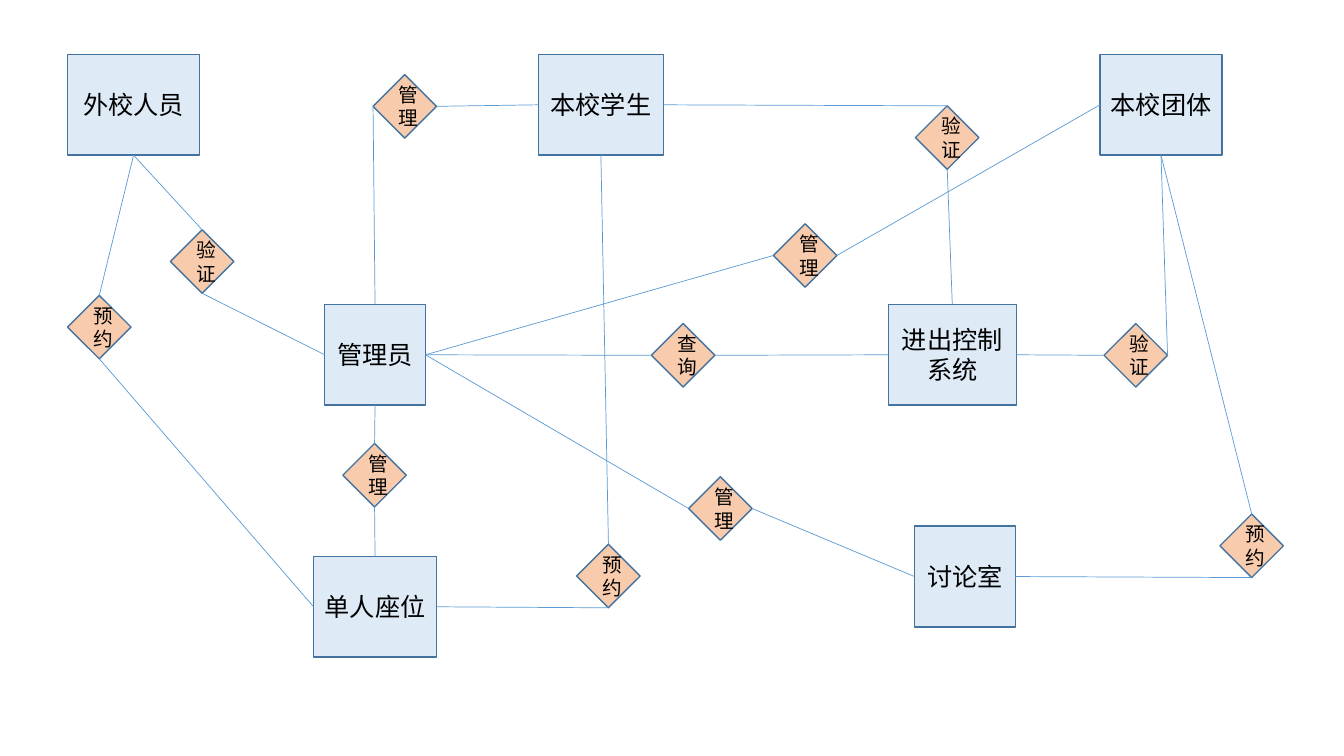
"""Build the entity-relationship slide of a seat reservation system."""
import dataclasses
import enum

import lxml.etree
import pptx
import pptx.dml.color
import pptx.enum.shapes
import pptx.enum.text
import pptx.oxml.ns
import pptx.util


@dataclasses.dataclass(frozen=True)
class Theme:
    font: str = "Calibri"
    text: str = "000000"
    outline: str = "43739E"
    link: str = "5B9BD5"
    entity_fill: str = "DEEBF7"
    relation_fill: str = "F8CBAD"
    entity_size: float = 18
    relation_size: float = 14
    outline_width: float = 1
    link_width: float = 0.5


class Side(enum.IntEnum):
    TOP = 0
    LEFT = 1
    BOTTOM = 2
    RIGHT = 3


@dataclasses.dataclass(frozen=True)
class Entity:
    name: str
    column: float
    row: float
    columns: float = 1


@dataclasses.dataclass(frozen=True)
class Leg:
    entity: str
    entity_side: Side
    relation_side: Side


@dataclasses.dataclass(frozen=True)
class Relation:
    name: str
    column: float
    row: float
    first: Leg
    second: Leg


THEME = Theme()
SHAPES = pptx.enum.shapes.MSO_SHAPE
GRID_COLUMNS, GRID_ROWS = 13.33, 7.5
TOP_ROW, MIDDLE_ROW = 0.54, 3.02
ENTITY_ROWS, DIAMOND = 1, 0.63

OUTSIDER, STUDENT, GROUP = "外校人员", "本校学生", "本校团体"
MANAGER, GATE, SEAT, ROOM = "管理员", "进出控制系统", "单人座位", "讨论室"
MANAGE, VERIFY, QUERY, RESERVE = "管理", "验证", "查询", "预约"
TOP, LEFT, BOTTOM, RIGHT = Side

ENTITIES = [
    Entity(OUTSIDER, 0.67, TOP_ROW, 1.31),
    Entity(STUDENT, 5.34, TOP_ROW, 1.24),
    Entity(GROUP, 10.91, TOP_ROW, 1.21),
    Entity(MANAGER, 3.22, MIDDLE_ROW),
    Entity(GATE, 8.81, MIDDLE_ROW, 1.27),
    Entity(SEAT, 3.11, 5.52, 1.22),
    Entity(ROOM, 9.07, 5.22),
]

RELATIONS = [
    Relation(MANAGE, 3.7, 0.74, Leg(MANAGER, TOP, LEFT), Leg(STUDENT, LEFT, RIGHT)),
    Relation(MANAGE, 3.4, 4.4, Leg(MANAGER, BOTTOM, TOP), Leg(SEAT, TOP, BOTTOM)),
    Relation(MANAGE, 7.67, 2.22, Leg(MANAGER, RIGHT, LEFT), Leg(GROUP, LEFT, RIGHT)),
    Relation(MANAGE, 6.83, 4.73, Leg(MANAGER, RIGHT, LEFT), Leg(ROOM, LEFT, RIGHT)),
    Relation(QUERY, 6.46, 3.21, Leg(MANAGER, RIGHT, LEFT), Leg(GATE, LEFT, RIGHT)),
    Relation(VERIFY, 1.69, 2.28, Leg(OUTSIDER, BOTTOM, TOP), Leg(MANAGER, LEFT, BOTTOM)),
    Relation(VERIFY, 9.08, 1.05, Leg(STUDENT, RIGHT, TOP), Leg(GATE, TOP, BOTTOM)),
    Relation(VERIFY, 10.95, 3.21, Leg(GROUP, BOTTOM, RIGHT), Leg(GATE, RIGHT, LEFT)),
    Relation(RESERVE, 0.67, 2.93, Leg(OUTSIDER, BOTTOM, TOP), Leg(SEAT, LEFT, BOTTOM)),
    Relation(RESERVE, 5.72, 5.4, Leg(STUDENT, BOTTOM, TOP), Leg(SEAT, RIGHT, BOTTOM)),
    Relation(RESERVE, 12.1, 5.1, Leg(GROUP, BOTTOM, TOP), Leg(ROOM, RIGHT, BOTTOM)),
]

presentation = pptx.Presentation()
presentation.slide_width = pptx.util.Inches(GRID_COLUMNS)
presentation.slide_height = pptx.util.Inches(GRID_ROWS)
slide = presentation.slides.add_slide(presentation.slide_layouts.get_by_name("Blank"))


def across(columns: float) -> int:
    return round(presentation.slide_width * columns / GRID_COLUMNS)


def down(rows: float) -> int:
    return round(presentation.slide_height * rows / GRID_ROWS)


def color(value: str) -> pptx.dml.color.RGBColor:
    return pptx.dml.color.RGBColor.from_string(value)


def draw_node(kind: SHAPES, node: Entity | Relation, columns: float, rows: float,
              fill: str, size: float) -> pptx.shapes.autoshape.Shape:
    shape = slide.shapes.add_shape(
        kind, across(node.column), down(node.row), across(columns), down(rows))
    shape.shadow.inherit = False
    shape.fill.solid()
    shape.fill.fore_color.rgb = color(fill)
    shape.line.color.rgb = color(THEME.outline)
    shape.line.width = pptx.util.Pt(THEME.outline_width)
    shape.text_frame.text = node.name
    shape.text_frame.word_wrap = True
    shape.text_frame.vertical_anchor = pptx.enum.text.MSO_ANCHOR.MIDDLE
    paragraph = shape.text_frame.paragraphs[0]
    paragraph.alignment = pptx.enum.text.PP_ALIGN.CENTER
    font = paragraph.runs[0].font
    font.name = THEME.font
    font.size = pptx.util.Pt(size)
    font.color.rgb = color(THEME.text)
    return shape


def draw_leg(entity: pptx.shapes.autoshape.Shape,
             relation: pptx.shapes.autoshape.Shape, leg: Leg) -> None:
    connector = slide.shapes.add_connector(
        pptx.enum.shapes.MSO_CONNECTOR.STRAIGHT, 0, 0, 0, 0)
    connector.begin_connect(entity, leg.entity_side.value)
    connector.end_connect(relation, leg.relation_side.value)
    connector.line.color.rgb = color(THEME.link)
    connector.line.width = pptx.util.Pt(THEME.link_width)
    properties = connector._element.spPr
    lxml.etree.SubElement(properties, pptx.oxml.ns.qn("a:effectLst"))


entity_shapes = {
    entity.name: draw_node(SHAPES.RECTANGLE, entity, entity.columns, ENTITY_ROWS,
                           THEME.entity_fill, THEME.entity_size)
    for entity in ENTITIES
}

for relation in RELATIONS:
    diamond = draw_node(SHAPES.DIAMOND, relation, DIAMOND, DIAMOND,
                        THEME.relation_fill, THEME.relation_size)
    for leg in (relation.first, relation.second):
        draw_leg(entity_shapes[leg.entity], diamond, leg)

presentation.save("out.pptx")
